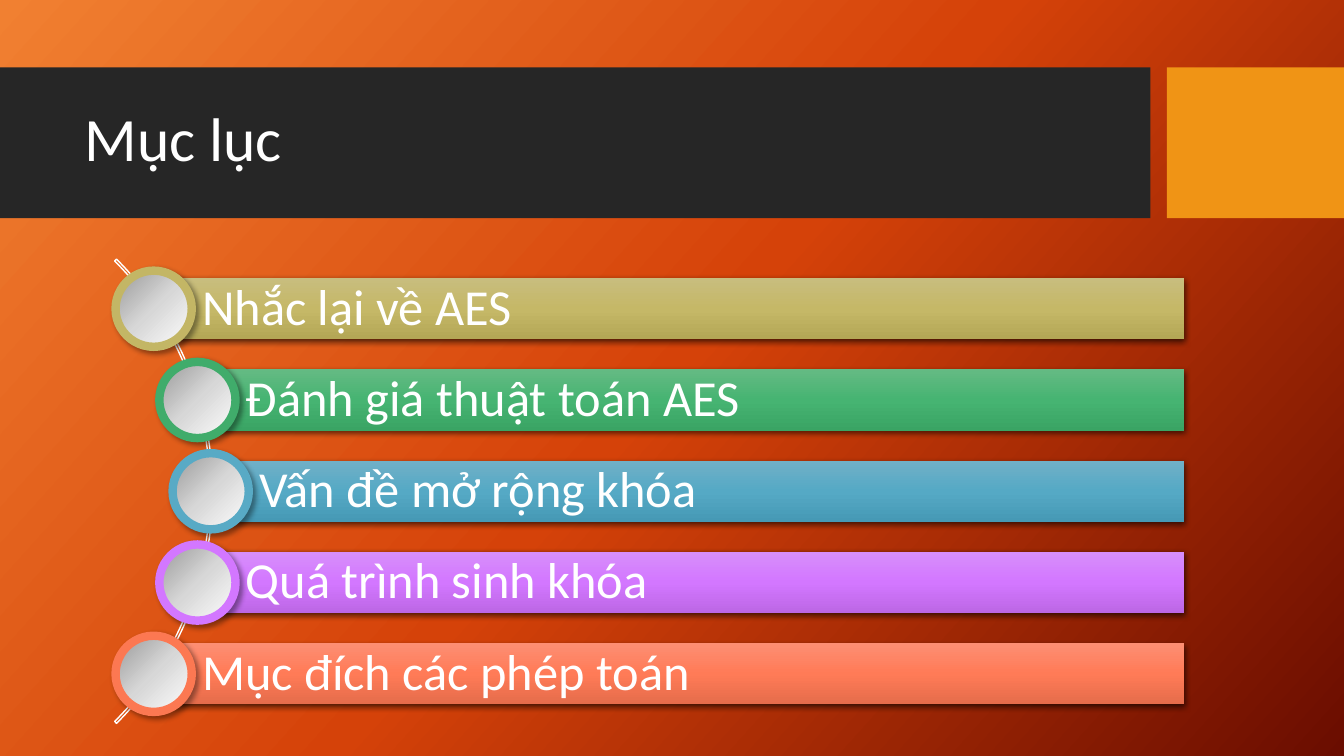
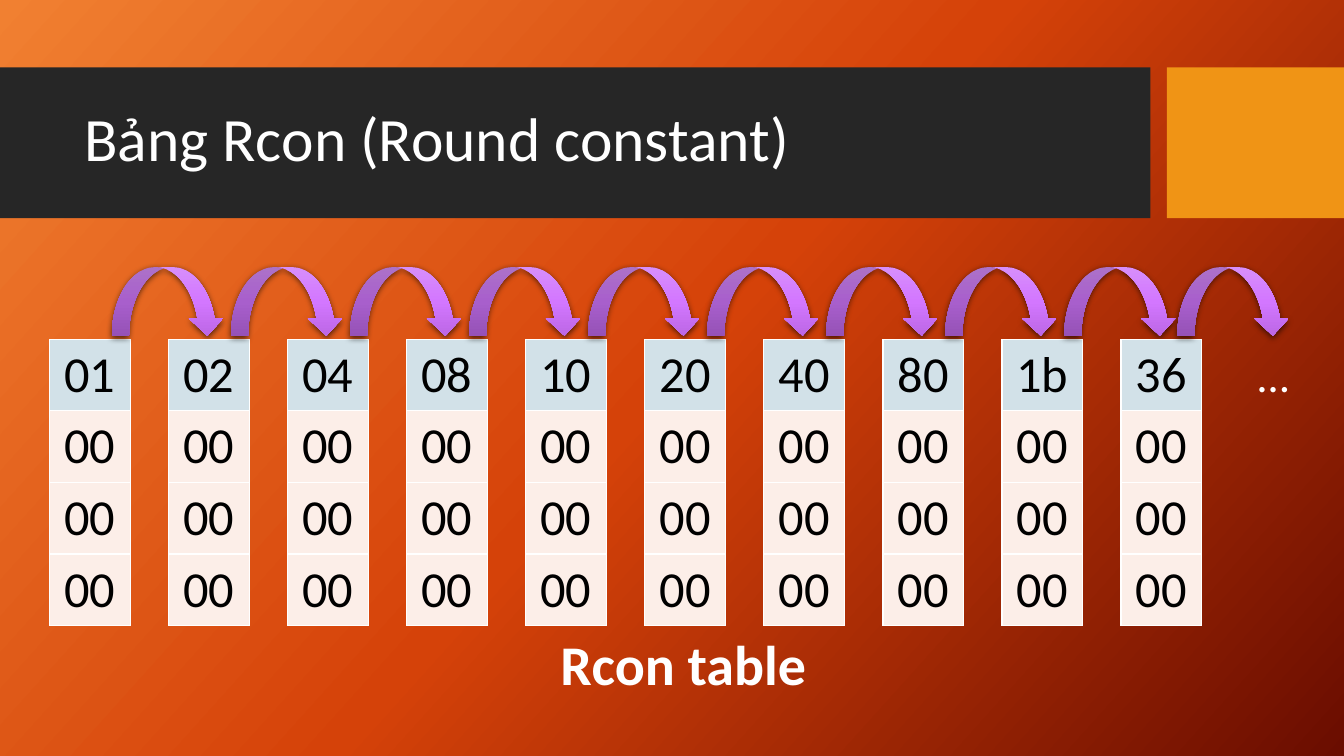
from math import sqrt

from lxml import etree
from pptx import Presentation
from pptx.dml.color import RGBColor
from pptx.enum import shapes as s, text as t
from pptx.oxml.ns import qn
from pptx.util import Cm, Pt

# Colours
WHITE = RGBColor(0xFF, 0xFF, 0xFF)
BLACK = RGBColor(0, 0, 0)
DARK = RGBColor(0x26, 0x26, 0x26)
AMBER = RGBColor(0xF0, 0x94, 0x15)
HEAD = RGBColor(0xD2, 0xE1, 0xE8)
BODY = RGBColor(0xFC, 0xEE, 0xE8)


def blend(*codes):
    return [RGBColor.from_string(code) for code in codes]


BACK = blend("F18031", "D54209", "6A0D00")
SILVER = blend("979797", "D7D7D7", "FFFFFF")
VIOLET = blend("D78EFB", "D377FF", "BC67E5")

# Content
TOPICS = [  # wording, bar gradient, ring colour
    ("Nhắc lại về AES", blend("C8BD7E", "C5B867", "B4A756"), RGBColor(0xC3, 0xB6, 0x65)),
    ("Đánh giá thuật toán AES", blend("64BA83", "46B472", "3AA464"), RGBColor(0x40, 0xAC, 0x6B)),
    ("Vấn đề mở rộng khóa", blend("70B0C7", "55A9C5", "4699B5"), RGBColor(0x58, 0xAA, 0xC5)),
    ("Quá trình sinh khóa", VIOLET, RGBColor(0xD3, 0x77, 0xFF)),
    ("Mục đích các phép toán", blend("FD8E73", "FF7B57", "E56C4B"), RGBColor(0xFC, 0x78, 0x52)),
]
RCON = ["01", "02", "04", "08", "10", "20", "40", "80", "1b", "36"]
ZEROS = ["00"] * 3

# Shared formats
FONT = {"name": "Calibri", "size": Pt(36), "bold": False}
SOFT = (63, 4.5, 1.5, 90)  # shadow: opacity %, blur pt, distance pt, angle
DEEP = (40, 4, 3, 45)


def write(frame, words, color=WHITE, space=None, align=t.PP_ALIGN.LEFT, **extra):
    para = frame.paragraphs[0]
    para.alignment = align
    para.line_spacing = space
    run = para.add_run()
    run.text = words
    for key, value in {**FONT, **extra}.items():
        setattr(run.font, key, value)
    run.font.color.rgb = color


def shade(fill, root, colors, angle):
    """Fill with evenly spaced colour stops."""
    fill.gradient()
    grad = next(root.iter(qn("a:gradFill")))
    stops = grad.find(qn("a:gsLst"))
    for old in list(stops):
        stops.remove(old)
    for i, color in enumerate(colors):
        stop = etree.SubElement(stops, qn("a:gs"), pos=str(100000 * i // (len(colors) - 1)))
        etree.SubElement(stop, qn("a:srgbClr"), val=str(color))
    grad.find(qn("a:lin")).set("ang", str(angle * 60000))


def cast(shape, alpha, blur, dist, angle):
    """Give the shape an outer shadow."""
    effects = shape._element.spPr.find(qn("a:effectLst"))
    outer = etree.SubElement(effects, qn("a:outerShdw"), blurRad=str(Pt(blur)),
                             dist=str(Pt(dist)), dir=str(angle * 60000),
                             algn="ctr", rotWithShape="0")
    color = etree.SubElement(outer, qn("a:srgbClr"), val=str(BLACK))
    etree.SubElement(color, qn("a:alpha"), val=str(alpha * 1000))


def draw(slide, kind, box, fill=None, angle=90, line=None, width=1, shadow=None):
    shape = slide.shapes.add_shape(kind, *map(Cm, box))
    shape.shadow.inherit = False
    if fill is None:
        shape.fill.background()
    elif isinstance(fill, list):
        shade(shape.fill, shape._element, fill, angle)
    else:
        shape.fill.solid()
        shape.fill.fore_color.rgb = fill
    if line is None:
        shape.line.fill.background()
    else:
        shape.line.color.rgb = line
        shape.line.width = Pt(width)
    if shadow:
        cast(shape, *shadow)
    return shape


def label(slide, box, words, wrap=False, anchor=t.MSO_ANCHOR.TOP, **form):
    frame = slide.shapes.add_textbox(*map(Cm, box)).text_frame
    frame.word_wrap = wrap
    frame.vertical_anchor = anchor
    write(frame, words, **form)


def start(deck, title):
    """New slide with background, bands and title."""
    slide = deck.slides.add_slide(deck.slide_layouts[6])
    shade(slide.background.fill, slide._element, BACK, 42)
    rect = s.MSO_SHAPE.RECTANGLE
    draw(slide, rect, (0, 1.7, 28.99, 3.8), DARK)
    draw(slide, rect, (29.41, 1.7, 4.46, 3.8), AMBER)
    label(slide, (1.88, 2.08, 26.7, 3), title, wrap=True,
          anchor=t.MSO_ANCHOR.MIDDLE, space=0.9, size=Pt(44))
    return slide


def stack(slide, left, top, tall, items, fill):
    """One-column table with white borders."""
    table = slide.shapes.add_table(len(items), 1, Cm(left), Cm(top), Cm(2.03),
                                   Cm(tall * len(items))).table
    table.first_row = table.horz_banding = False
    for row, words in enumerate(items):
        cell = table.cell(row, 0)
        cell.vertical_anchor = t.MSO_ANCHOR.MIDDLE
        props = cell._tc.get_or_add_tcPr()
        for side in ("lnL", "lnR", "lnT", "lnB"):
            line = etree.SubElement(props, qn("a:" + side), w=str(Pt(1)))
            solid = etree.SubElement(line, qn("a:solidFill"))
            etree.SubElement(solid, qn("a:srgbClr"), val=str(WHITE))
        cell.fill.solid()
        cell.fill.fore_color.rgb = fill
        write(cell.text_frame, words, BLACK, align=t.PP_ALIGN.CENTER)


def agenda(deck):
    slide = start(deck, "Mục lục")
    arc = draw(slide, s.MSO_SHAPE.BLOCK_ARC, (-11.18, 4.11, 16.54, 16.54), line=WHITE)
    for i, value in enumerate((189, 27, 0.004)):
        arc.adjustments[i] = value

    # Bars start at ring centres, which lie on a circle
    hub, radius, mid, step = -2.77, 8.08, 12.38, 2.3
    right, tall, ring = 29.84, 1.54, 1.92
    for i, (words, fill, color) in enumerate(TOPICS):
        drop = (i - len(TOPICS) // 2) * step
        x, y = hub + sqrt(radius ** 2 - drop ** 2), mid + drop
        bar = draw(slide, s.MSO_SHAPE.RECTANGLE, (x, y - tall / 2, right - x, tall),
                   fill, shadow=SOFT)
        frame = bar.text_frame
        form = {"margin_left": Cm(1.22), "margin_right": Cm(0.28), "margin_top": Cm(0.28),
                "margin_bottom": Cm(0.28), "word_wrap": True,
                "vertical_anchor": t.MSO_ANCHOR.MIDDLE}
        for key, value in form.items():
            setattr(frame, key, value)
        write(frame, words, space=0.9)
        draw(slide, s.MSO_SHAPE.OVAL, (x - ring / 2, y - ring / 2, ring, ring),
             SILVER, 45, color, 6, DEEP)


def rounds(deck):
    slide = start(deck, "Bảng Rcon (Round constant)")
    step, last = 3, 29.67
    for i, code in enumerate(RCON):
        left = 1.25 + i * step
        stack(slide, left, 8.56, 1.78, [code], HEAD)
        stack(slide, left, 10.34, 1.81, ZEROS, BODY)
        draw(slide, s.MSO_SHAPE.CURVED_DOWN_ARROW,
             (min(left + 1.57, last), 6.73, 2.84, 1.73), VIOLET, shadow=SOFT)
    label(slide, (13.87, 15.75, 6.81, 1.96), "Rcon table", size=Pt(40), bold=True)
    label(slide, (31.45, 8.64, 1.3, 1.63), "…", size=Pt(32))


def main():
    deck = Presentation()
    deck.slide_width, deck.slide_height = Cm(33.87), Cm(19.05)
    agenda(deck)
    rounds(deck)
    deck.save("out.pptx")


if __name__ == "__main__":
    main()
